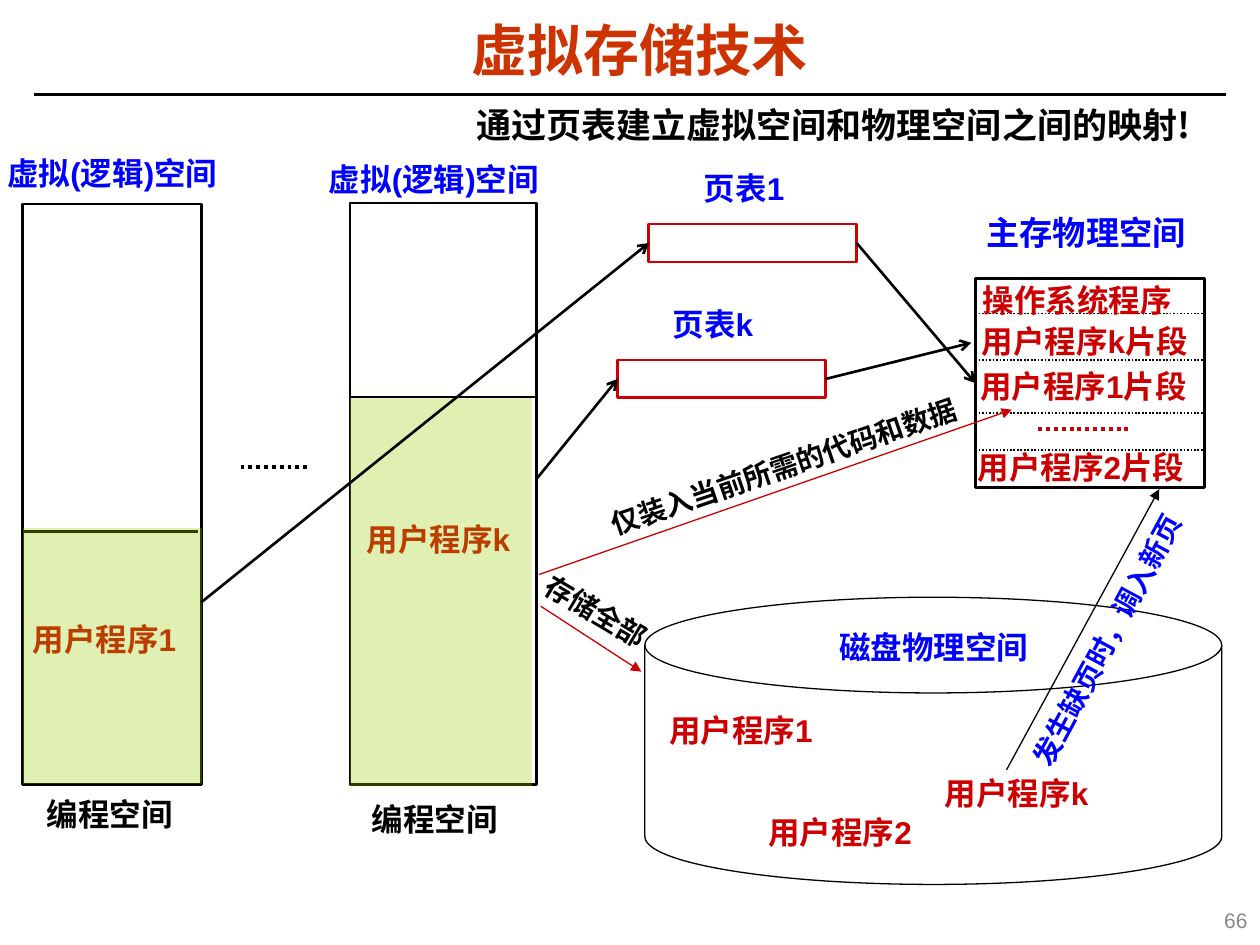
from lxml import etree
from pptx import Presentation
from pptx.dml.color import RGBColor
from pptx.enum.dml import MSO_LINE
from pptx.enum.shapes import MSO_CONNECTOR, MSO_SHAPE
from pptx.enum.text import MSO_ANCHOR, PP_ALIGN
from pptx.oxml.ns import qn
from pptx.util import Cm, Pt

COLORS = {"black": "000000", "white": "FFFFFF", "red": "CC0000",
          "blue": "0000FF", "title": "CC3300", "green": "99CC00",
          "gray": "898989"}


def rgb(name):
    return RGBColor.from_string(COLORS[name])


class Builder:
    font = "Arial"
    cjk_font = "Noto Sans CJK SC"
    size = 18

    def __init__(self, slide):
        self.s = slide

    def set_text(self, tf, text, size, color, bold=True, align=None,
                 font=None, anchor=MSO_ANCHOR.TOP, inset=0):
        frame = {"word_wrap": True, "vertical_anchor": anchor}
        for side in ("left", "right", "top", "bottom"):
            frame["margin_" + side] = Cm(inset)
        for key, value in frame.items():
            setattr(tf, key, value)
        p = tf.paragraphs[0]
        p.alignment = align
        r = p.add_run()
        r.text = text
        style = {"name": font or self.font, "size": Pt(size), "bold": bold}
        for key, value in style.items():
            setattr(r.font, key, value)
        r.font.color.rgb = rgb(color)
        ea = etree.SubElement(r.font._element, qn("a:ea"))
        ea.set("typeface", self.cjk_font)
        return p

    def title(self, text, x, y, w, h):
        sp = self.s.shapes.title
        box = {"left": x, "top": y, "width": w, "height": h}
        for key, value in box.items():
            setattr(sp, key, Cm(value))
        p = self.set_text(sp.text_frame, text, 32, "title",
                          align=PP_ALIGN.CENTER, anchor=MSO_ANCHOR.MIDDLE)
        p.line_spacing = 0.87

    def text(self, text, x, y, w, color, size=None, h=0.76, rot=0,
             fill=None, **style):
        sp = self.s.shapes.add_textbox(Cm(x), Cm(y), Cm(w), Cm(h))
        sp.rotation = rot
        if fill:
            sp.fill.solid()
            sp.fill.fore_color.rgb = rgb(fill)
        self.set_text(sp.text_frame, text, size or self.size, color, **style)

    def shape(self, x, y, w, h, line="black", width=1.5, fill="white",
              alpha=None, kind=MSO_SHAPE.RECTANGLE):
        sp = self.s.shapes.add_shape(kind, Cm(x), Cm(y), Cm(w), Cm(h))
        sp.shadow.inherit = False
        sp.fill.solid()
        sp.fill.fore_color.rgb = rgb(fill)
        if alpha:
            clr = sp._element.spPr.find(".//" + qn("a:srgbClr"))
            etree.SubElement(clr, qn("a:alpha")).set("val", str(alpha * 1000))
        if line:
            sp.line.color.rgb = rgb(line)
            sp.line.width = Pt(width)
        else:
            sp.line.fill.background()

    def line(self, x1, y1, x2, y2, color="black", width=1.5, dotted=False,
             head=None):
        cn = self.s.shapes.add_connector(
            MSO_CONNECTOR.STRAIGHT, Cm(x1), Cm(y1), Cm(x2), Cm(y2))
        cn.line.color.rgb = rgb(color)
        cn.line.width = Pt(width)
        if dotted:
            cn.line.dash_style = MSO_LINE.ROUND_DOT
        if head:
            ln = cn._element.spPr.find(qn("a:ln"))
            etree.SubElement(ln, qn("a:tailEnd")).set("type", head)
        etree.SubElement(cn._element.spPr, qn("a:effectLst"))


def main():
    prs = Presentation()
    prs.slide_width, prs.slide_height = Cm(25.4), Cm(19.05)
    b = Builder(prs.slides.add_slide(prs.slide_layouts[5]))

    # Title and headline
    b.line(0.69, 1.9, 24.71, 1.9)
    b.title("虚拟存储技术", 0.66, 0.36, 24.46, 1.47)
    b.text("通过页表建立虚拟空间和物理空间之间的映射!", 9.6, 2.08, 15.52,
           "black", 20, h=0.86, fill="white", font=b.cjk_font)

    # Virtual spaces: frame, divider, program, then the tint over them
    spaces = [
        ("1", (0.46, 4.11, 3.61, 11.71), (0.43, 3.99, 10.72), (0.66, 12.5),
         (0.94, 16.03), (0.15, 3.1), (0.46, 10.64, 3.61, 5.16)),
        ("k", (7.06, 4.09, 3.76, 11.73), (7.06, 10.8, 8), (7.39, 10.49),
         (7.49, 16.13), (6.63, 3.23), (7.06, 8.03, 3.66, 7.82)),
    ]
    for name, frame, (x1, x2, y), program, caption, heading, tint in spaces:
        b.shape(*frame)
        b.line(x1, y, x2, y)
        b.text("用户程序" + name, *program, 2.97, "red")
        b.text("编程空间", *caption, 3.05, "black")
        b.text("虚拟(逻辑)空间", *heading, 4.85, "blue")
        b.shape(*tint, line=None, fill="green", alpha=30)
    b.line(4.85, 9.42, 6.2, 9.42, width=2.25, dotted=True)

    # Disk
    b.shape(13, 12.04, 11.63, 5.79, width=0.75,
            kind=MSO_SHAPE.FLOWCHART_MAGNETIC_DISK)
    b.text("磁盘物理空间", 16.92, 12.67, 3.94, "blue")
    for name, x, y in [("1", 13.49, 14.33), ("k", 19.05, 15.6),
                       ("2", 15.49, 16.38)]:
        b.text("用户程序" + name, x, y, 2.97, "red")

    # Main memory
    b.text("主存物理空间", 19.89, 4.29, 4.6, "blue", 19, h=0.81)
    b.shape(19.66, 5.61, 4.62, 4.22)
    for y in (6.32, 7.26, 8.33, 9.07):
        b.line(19.66, y, 24.25, y, width=1, dotted=True)
    for text, x, y in [("操作系统程序", 19.81, 5.66),
                       ("用户程序k片段", 19.79, 6.5),
                       ("用户程序1片段", 19.76, 7.39),
                       ("用户程序2片段", 19.71, 9.04)]:
        b.text(text, x, y, 4.6, "red")
    b.line(20.93, 8.64, 22.78, 8.64, "red", 2.25, dotted=True)

    # Transfers with slanted labels
    transfers = [
        ((10.87, 11.58, 20.4, 8.26), "red",
         "仅装入当前所需的代码和数据", (12.14, 9.04, 7.44), "black", 341.1),
        ((10.9, 12.22, 12.93, 13.54), "red",
         "存储全部", (10.87, 12.04, 2.49), "black", 30.7),
        ((20.29, 15.52, 23.37, 9.86), "black",
         "发生缺页时，调入新页", (19.02, 11.76, 7.44), "blue", 298.2),
    ]
    for ends, line_color, text, box, color, rot in transfers:
        b.line(*ends, line_color, 0.75, head="triangle")
        b.text(text, *box, color, 16, h=0.69, rot=rot)

    # Page tables: program -> table -> memory
    w, h = 4.19, 0.76
    for name, x, y, source, target in [
            ("1", 13.08, 4.52, (4.06, 12.14), (19.66, 7.72)),
            ("k", 12.45, 7.26, (10.82, 9.65), (19.58, 6.91))]:
        b.text("页表" + name, x + 0.37, y - 1.12, 3.1, "blue",
               align=PP_ALIGN.CENTER)
        b.shape(x, y, w, h, line="red")
        b.line(*source, x, y + h / 2, head="arrow")
        b.line(x + w, y + h / 2, *target, head="arrow")

    # Page number
    b.text("66", 19.69, 18.03, 5.71, "gray", 12, h=1.02, bold=False,
           align=PP_ALIGN.RIGHT, anchor=MSO_ANCHOR.MIDDLE, inset=0.25)

    prs.save("out.pptx")


if __name__ == "__main__":
    main()
